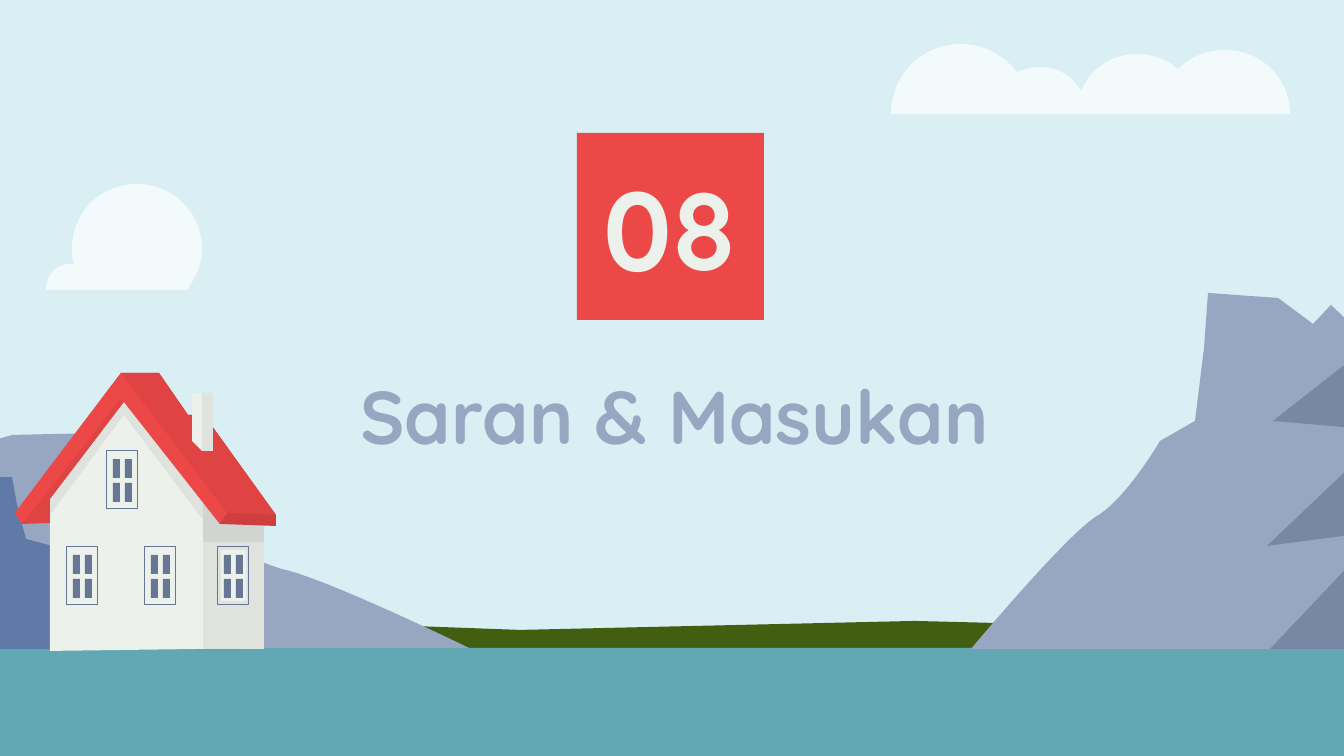
import dataclasses

import lxml.etree
import pptx
import pptx.dml.color
import pptx.enum.shapes
import pptx.enum.text
import pptx.oxml.ns
import pptx.util

SCALE = 914400 / 134.4


@dataclasses.dataclass(frozen=True)
class Theme:
    sky: str = "D9EFF4"
    cloud: str = "FFFFFF"
    grass: str = "425F11"
    water: str = "61A8B4"
    rock: str = "98A7C1"
    deep_rock: str = "607AA8"
    slate: str = "667795"
    wall: str = "EDF1EB"
    roof: str = "ED4848"
    shade: str = "000000"
    font: str = "Quicksand"
    heading_size: int = 40
    number_size: int = 60


THEME = Theme()

LONG_CLOUD = [
    (961, 44), (922, 44, 891, 75, 891, 114), (1290, 114),
    (1290, 78, 1261, 50, 1225, 50), (1207, 50, 1191, 56, 1178, 69),
    (1167, 59, 1152, 54, 1137, 54), (1113, 54, 1092, 67, 1082, 89),
    (1081, 90), (1071, 75, 1057, 67, 1040, 67),
    (1032, 67, 1024, 69, 1017, 72), (1004, 55, 983, 44, 961, 44),
]
ROUND_CLOUD = [
    (137, 184), (101, 184, 72, 212, 72, 249), (72, 254, 72, 259, 74, 265),
    (73, 265, 71, 264, 70, 264), (57, 264, 46, 275, 46, 290), (187, 290),
    (196, 278, 202, 264, 202, 249), (202, 212, 173, 184, 137, 184),
]
MEADOW = [
    (1426, 634), (915, 621), (520, 630), (302, 622), (-31, 629), (-126, 698),
    (-126, 698, -146, 719, -146, 727), (-146, 729, -145, 730, -142, 730),
    (-126, 730, 396, 702, 396, 702), (1235, 689),
]
CLIFF = [
    (1208, 293), (1204, 348), (1195, 421), (1160, 441),
    (1160, 441, 1126, 499, 1097, 516), (1066, 535, 971, 649, 971, 649),
    (1450, 649), (1450, 417), (1372, 344), (1331, 305), (1313, 324),
    (1278, 298), (1249, 296),
]
CLIFF_SHADE = [
    (1372, 344), (1367, 347, 1273, 421, 1273, 421), (1388, 431), (1267, 546),
    (1382, 531), (1270, 649), (1450, 649), (1450, 417),
]
BACK_HILL = [
    (116, 433), (124, 465), (137, 509), (190, 523),
    (190, 523, 238, 556, 282, 569), (328, 579, 469, 648, 469, 648),
    (-242, 648), (-242, 508), (-128, 464), (-65, 439), (-39, 450),
    (12, 435), (56, 434),
]
FRONT_HILL = [
    (12, 477), (17, 504), (26, 539), (60, 548),
    (60, 548, 93, 577, 122, 585), (152, 595, 245, 649, 245, 649),
    (-224, 649), (-224, 538), (-149, 503), (-108, 482), (-90, 492),
    (-56, 480), (-27, 478),
]
FRONT_WALL = [(124, 402), (50, 499), (50, 651), (203, 649), (203, 503)]
ROOF = [
    (121, 373), (15, 513), (22, 524), (50, 523), (50, 499), (124, 402),
    (220, 524), (276, 526), (276, 515), (204, 415), (188, 415), (159, 373),
]
GABLE_SHADE = [(124, 402), (50, 499), (50, 515), (124, 415), (203, 520), (203, 503)]
SLOPE = [(121, 373), (227, 513), (276, 515), (204, 415), (188, 415), (159, 373)]
SOFFIT = [(121, 398), (22, 524), (50, 523), (50, 499), (124, 402)]
EAVE = [(227, 513), (220, 524), (276, 526), (276, 515)]
RIM = [(121, 373), (15, 513), (22, 524), (121, 398), (220, 524), (227, 513)]
CHIMNEY_SIDE = [(192, 393), (192, 441), (202, 451), (202, 393)]
WINDOWS = [(218, 547), (145, 547), (67, 547), (107, 451)]


def px(length):
    return pptx.util.Emu(round(length * SCALE))


def rgb(color):
    return pptx.dml.color.RGBColor.from_string(color)


def paint(shape, color, opacity=100):
    shape.shadow.inherit = False
    shape.line.fill.background()
    shape.fill.solid()
    shape.fill.fore_color.rgb = rgb(color)
    if opacity < 100:
        tint = next(shape._element.iter(pptx.oxml.ns.qn("a:srgbClr")))
        alpha = lxml.etree.SubElement(tint, pptx.oxml.ns.qn("a:alpha"))
        alpha.set("val", str(opacity * 1000))


def add_rectangle(shapes, left, top, width, height, color, opacity=100):
    box = shapes.add_shape(
        pptx.enum.shapes.MSO_SHAPE.RECTANGLE, px(left), px(top), px(width), px(height)
    )
    paint(box, color, opacity)
    return box


def add_outline(shapes, segments, color, opacity=100):
    points = [seg[i:i + 2] for seg in segments for i in range(0, len(seg), 2)]
    builder = shapes.build_freeform(*points[0], scale=SCALE)
    builder.add_line_segments(points[1:], close=True)
    shape = builder.convert_to_shape()
    steps = iter(list(shape._element.iter(pptx.oxml.ns.qn("a:lnTo"))))
    for segment in segments[1:]:
        step = next(steps)
        if len(segment) == 6:
            step.tag = pptx.oxml.ns.qn("a:cubicBezTo")
            for _ in range(2):
                merged = next(steps)
                step.append(merged[0])
                merged.getparent().remove(merged)
    paint(shape, color, opacity)


def add_window(shapes, left, top):
    add_rectangle(shapes, left + 3, top + 3, 25, 51, THEME.wall)
    frame = add_rectangle(shapes, left, top, 31, 58, THEME.wall)
    frame.fill.background()
    frame.line.color.rgb = rgb(THEME.slate)
    frame.line.width = pptx.util.Pt(0.5)
    for across in (6, 18):
        for down in (8, 32):
            add_rectangle(shapes, left + across, top + down, 7, 19, THEME.slate)


def add_text(box, text, size, color):
    frame = box.text_frame
    frame.word_wrap = True
    frame.vertical_anchor = pptx.enum.text.MSO_ANCHOR.MIDDLE
    frame.margin_left = frame.margin_right = px(13)
    frame.margin_top = frame.margin_bottom = px(13)
    para = frame.paragraphs[0]
    para.alignment = pptx.enum.text.PP_ALIGN.CENTER
    span = para.add_run()
    span.text = text
    span.font.name = THEME.font
    span.font.size = pptx.util.Pt(size)
    span.font.bold = True
    span.font.color.rgb = rgb(color)


def add_house(shapes):
    add_rectangle(shapes, 203, 503, 61, 146, THEME.wall)
    add_rectangle(shapes, 203, 503, 61, 146, THEME.shade, 6)
    add_rectangle(shapes, 203, 503, 61, 39, THEME.shade, 6)
    add_outline(shapes, FRONT_WALL, THEME.wall)
    add_outline(shapes, ROOF, THEME.roof)
    add_outline(shapes, GABLE_SHADE, THEME.shade, 6)
    for left, top in WINDOWS:
        add_window(shapes, left, top)
    add_outline(shapes, SLOPE, THEME.roof)
    add_outline(shapes, SOFFIT, THEME.shade, 6)
    add_outline(shapes, EAVE, THEME.shade, 13)
    add_outline(shapes, RIM, THEME.roof)
    add_outline(shapes, SLOPE, THEME.shade, 6)
    add_rectangle(shapes, 202, 393, 11, 58, THEME.wall)
    add_outline(shapes, CHIMNEY_SIDE, THEME.wall)
    add_rectangle(shapes, 202, 393, 11, 58, THEME.shade, 6)


def main():
    deck = pptx.Presentation()
    deck.slide_width, deck.slide_height = px(1344), px(756)
    page = deck.slides.add_slide(deck.slide_layouts[6])
    page.background.fill.solid()
    page.background.fill.fore_color.rgb = rgb(THEME.sky)

    for cloud in (LONG_CLOUD, ROUND_CLOUD):
        add_outline(page.shapes, cloud, THEME.cloud, 70)
    add_outline(page.shapes, MEADOW, THEME.grass)
    add_rectangle(page.shapes, 0, 648, 1344, 120, THEME.water)

    cliff = page.shapes.add_group_shape().shapes
    add_outline(cliff, CLIFF, THEME.rock)
    add_outline(cliff, CLIFF_SHADE, THEME.slate, 64)

    homestead = page.shapes.add_group_shape().shapes
    add_outline(homestead, BACK_HILL, THEME.rock)
    add_outline(homestead, FRONT_HILL, THEME.deep_rock)
    add_house(homestead)

    heading = page.shapes.add_textbox(px(246), px(327), px(857), px(176))
    add_text(heading, "Saran & Masukan", THEME.heading_size, THEME.rock)
    number = add_rectangle(page.shapes, 577, 133, 187, 187, THEME.roof)
    add_text(number, "08", THEME.number_size, THEME.wall)
    deck.save("out.pptx")


if __name__ == "__main__":
    main()
